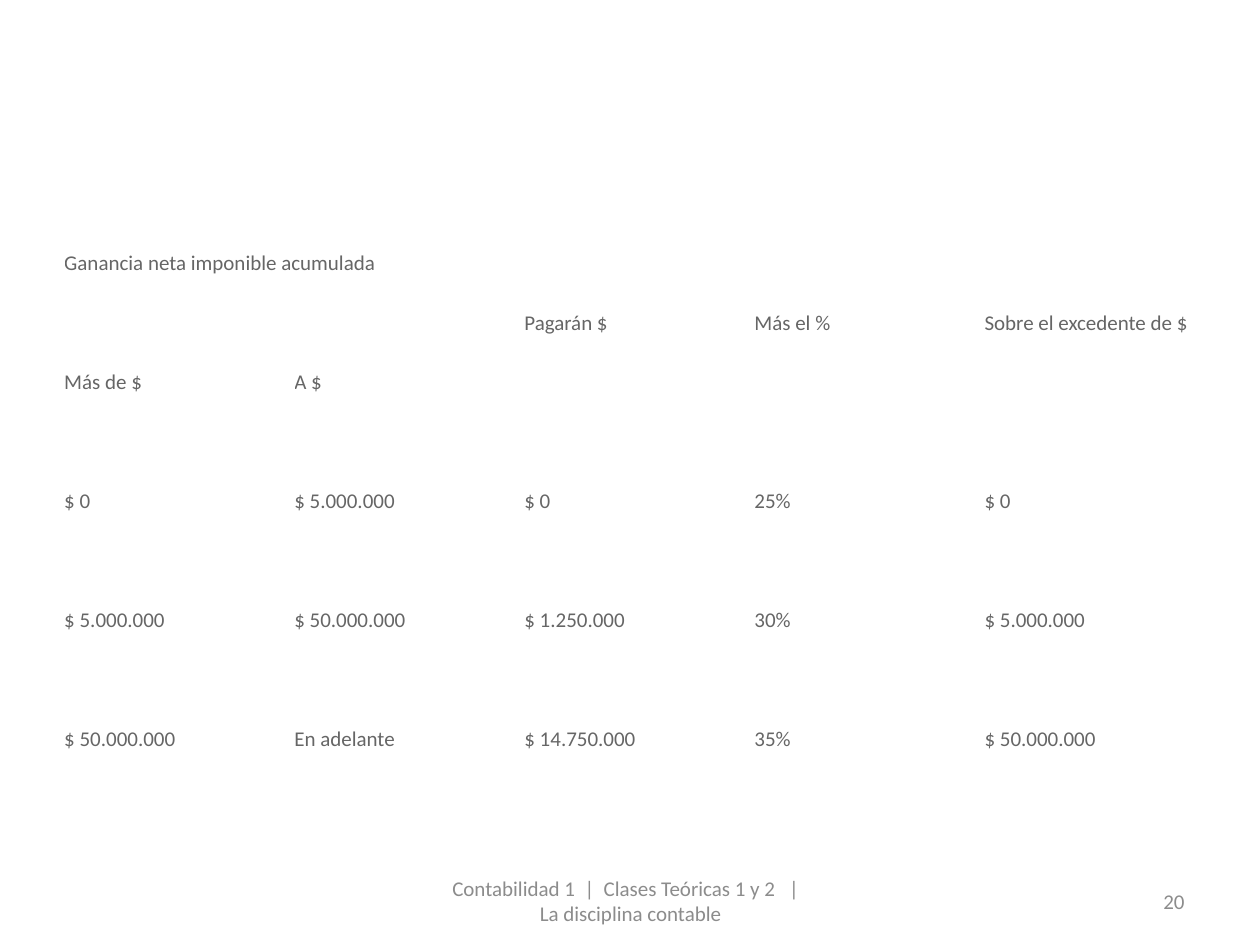
from dataclasses import dataclass

from pptx import Presentation
from pptx.dml.color import RGBColor
from pptx.enum.text import MSO_ANCHOR as Anchor, PP_ALIGN as Align
from pptx.slide import Slide
from pptx.text.text import TextFrame
from pptx.util import Inches, Pt


@dataclass(frozen=True)
class Theme:
    font: str = "Calibri"
    size: int = 12
    body: str = "666666"
    muted: str = "8C8C8C"
    background: str = "FFFFFF"


@dataclass(frozen=True)
class FooterItem:
    text: str
    left: float
    width: float
    align: Align


THEME = Theme()

FOOTER = [
    FooterItem("Contabilidad 1  |  Clases Teóricas 1 y 2   |   La disciplina contable",
               3.42, 3.17, Align.CENTER),
    FooterItem("20", 7.17, 2.33, Align.RIGHT),
]

TAX_SCALE = [
    ["Ganancia neta imponible acumulada", None, "Pagarán $", "Más el %", "Sobre el excedente de $"],
    ["Más de $", "A $", None, None, None],
    ["$ 0", "$ 5.000.000", "$ 0", "25%", "$ 0"],
    ["$ 5.000.000", "$ 50.000.000", "$ 1.250.000", "30%", "$ 5.000.000"],
    ["$ 50.000.000", "En adelante", "$ 14.750.000", "35%", "$ 50.000.000"],
]
MERGES = [((0, 0), (0, 1))] + [((0, col), (1, col)) for col in (2, 3, 4)]


def write(tf: TextFrame, text: str, *, color: str = THEME.body,
          align: Align = Align.LEFT) -> None:
    p = tf.paragraphs[0]
    p.alignment = align
    r = p.add_run()
    r.text = text
    r.font.name = THEME.font
    r.font.size = Pt(THEME.size)
    r.font.bold = False
    r.font.color.rgb = RGBColor.from_string(color)


def add_footer(s: Slide, item: FooterItem) -> None:
    sp = s.shapes.add_textbox(Inches(item.left), Inches(6.95),
                              Inches(item.width), Inches(0.4))
    tf = sp.text_frame
    tf.word_wrap = True
    tf.vertical_anchor = Anchor.MIDDLE
    write(tf, item.text, color=THEME.muted, align=item.align)


def add_tax_table(s: Slide) -> None:
    rows, cols = len(TAX_SCALE), len(TAX_SCALE[0])
    table = s.shapes.add_table(rows, cols, Inches(0.51), Inches(1.62),
                               Inches(9.13), Inches(4.72)).table
    table.horz_banding = False
    table.first_row = False
    for start, end in MERGES:
        table.cell(*start).merge(table.cell(*end))
    for i, row in enumerate(TAX_SCALE):
        for j, text in enumerate(row):
            cell = table.cell(i, j)
            cell.fill.solid()
            cell.fill.fore_color.rgb = RGBColor.from_string(THEME.background)
            cell.margin_left = cell.margin_right = Inches(0)
            cell.margin_top = cell.margin_bottom = Inches(0)
            cell.vertical_anchor = Anchor.MIDDLE
            if text is not None:
                write(cell.text_frame, text)


def main() -> None:
    prs = Presentation()
    prs.slide_width, prs.slide_height = Inches(10), Inches(7.5)
    s = prs.slides.add_slide(prs.slide_layouts[6])
    for item in FOOTER:
        add_footer(s, item)
    add_tax_table(s)
    prs.save("out.pptx")


if __name__ == "__main__":
    main()
